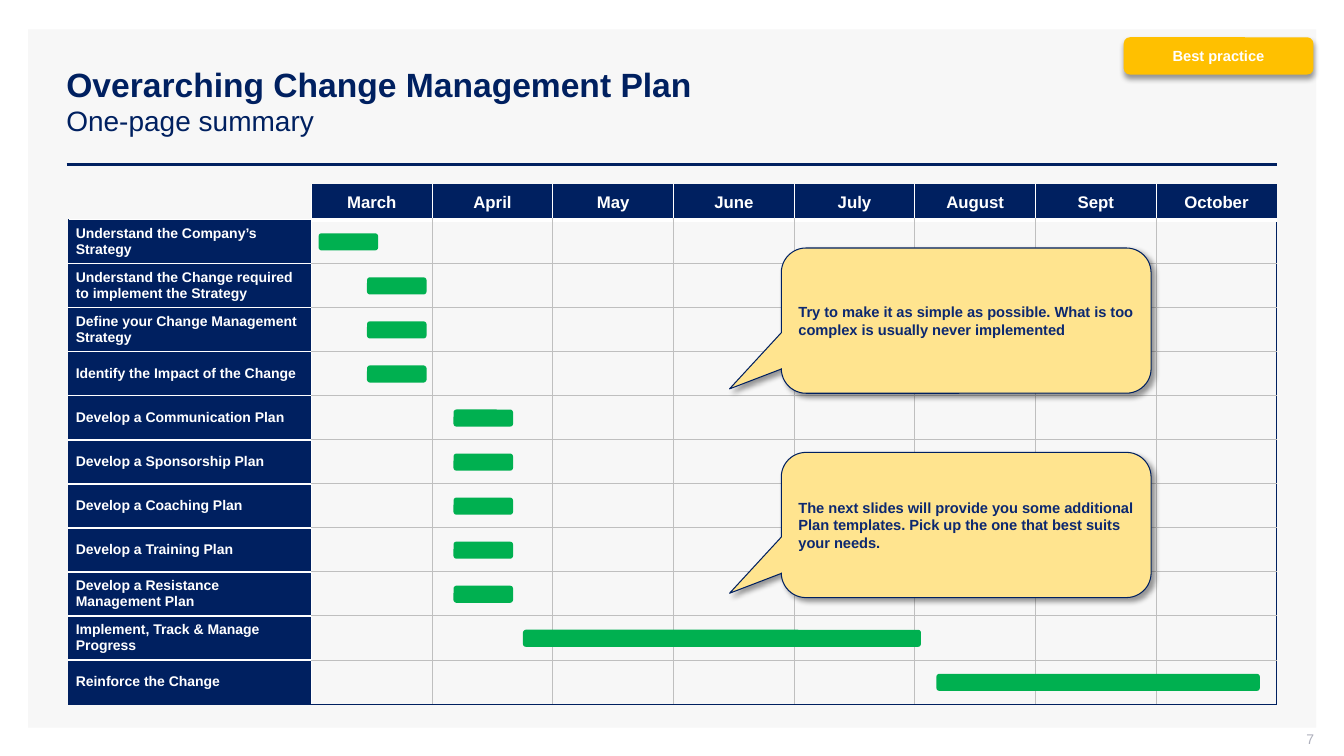
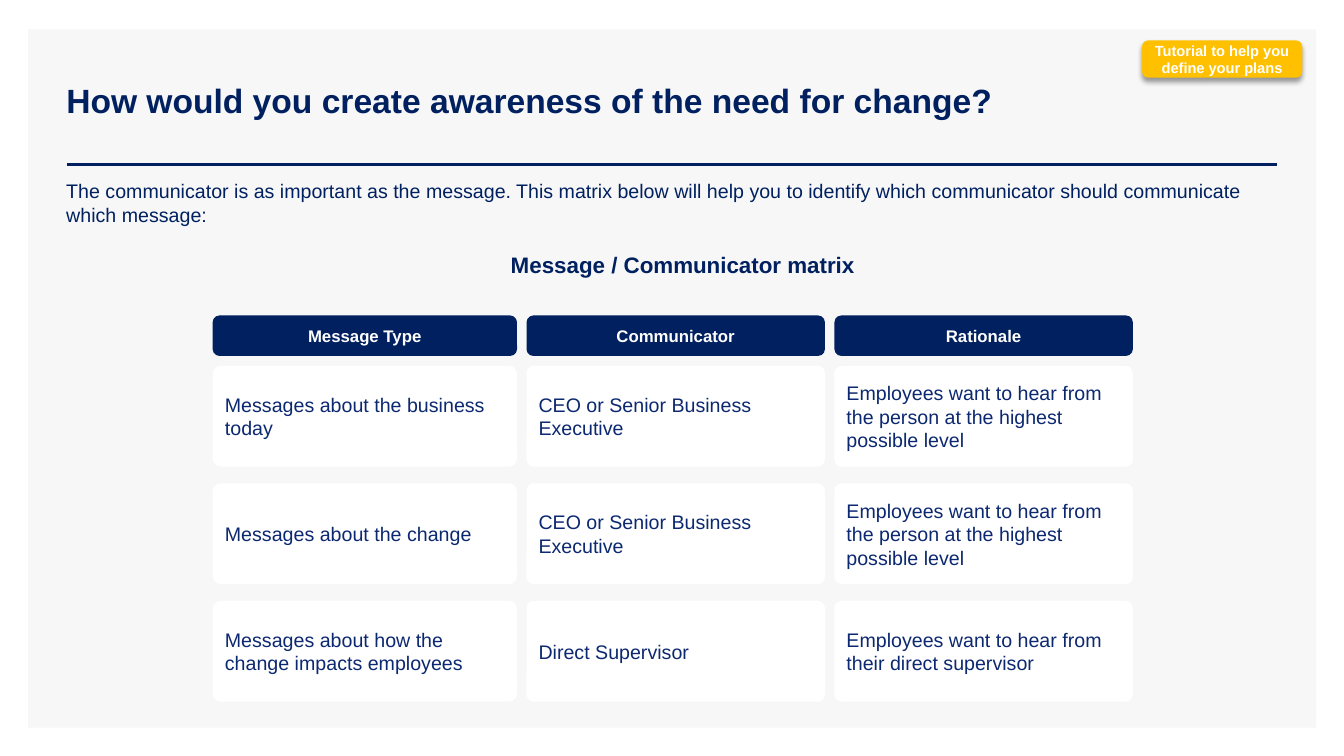
from dataclasses import dataclass

from lxml import etree
from pptx import Presentation
from pptx.dml.color import RGBColor
from pptx.enum.shapes import MSO_CONNECTOR, MSO_SHAPE
from pptx.enum.text import MSO_ANCHOR as Anchor, MSO_AUTO_SIZE as AutoSize, PP_ALIGN as Align
from pptx.oxml.ns import qn
from pptx.util import Cm, Pt


@dataclass(frozen=True)
class Theme:
    font: str = "Arial"
    navy: str = "002060"
    ink: str = "0C2870"
    white: str = "FFFFFF"
    panel: str = "F7F7F7"
    grid: str = "BFBFBF"
    page_number: str = "ADAFBB"
    bar: str = "00B050"
    callout: str = "FFE48F"
    badge: str = "FFC000"
    title: float = 24
    subtitle: float = 20
    heading: float = 16
    body: float = 14
    header: float = 12
    note: float = 10.5
    small: float = 10


THEME = Theme()
NO_STYLE_NO_GRID = "{2D5ABB26-0587-4C30-8999-92F81FD0307C}"
DEFAULT_INSETS = (0.25, 0.13, 0.25, 0.13)


def style_font(font, size, color, bold):
    font.name, font.size, font.bold = THEME.font, Pt(size), bold
    font.color.rgb = RGBColor.from_string(color)


def write(frame, text, *, size=THEME.body, color=THEME.navy, bold=False, align=Align.LEFT,
          anchor=Anchor.MIDDLE, insets=DEFAULT_INSETS):
    """Fill a text frame with one paragraph and return it; insets are left, top, right, bottom."""
    frame.word_wrap = True
    frame.auto_size = AutoSize.NONE
    frame.vertical_anchor = anchor
    (frame.margin_left, frame.margin_top,
     frame.margin_right, frame.margin_bottom) = map(Cm, insets)
    paragraph = frame.paragraphs[0]
    paragraph.alignment = align
    run = paragraph.add_run()
    run.text = text
    style_font(run.font, size, color, bold)
    return paragraph


def add_shadow(shape, angle):
    effects = shape.element.spPr.find(qn("a:effectLst"))
    shadow = etree.SubElement(effects, qn("a:outerShdw"), blurRad=str(Pt(4)), dist=str(Pt(3)),
                              dir=str(angle * 60000), algn="tl", rotWithShape="0")
    black = etree.SubElement(shadow, qn("a:srgbClr"), val="000000")
    etree.SubElement(black, qn("a:alpha"), val="40000")


def set_border(cell, side, color, width):
    line = etree.SubElement(cell._tc.get_or_add_tcPr(), qn(f"a:ln{side}"), w=str(Pt(width)))
    fill = etree.SubElement(line, qn("a:solidFill"))
    etree.SubElement(fill, qn("a:srgbClr"), val=color)


def plan_borders(row, column, last_row, last_column):
    """Borders of one plan cell: navy outside, white around headers, grey inside."""
    if row == column == 0:
        return {}
    outer, inner = (THEME.navy, 0.75), (THEME.grid, 0.75)
    split, header_edge = (THEME.white, 1), (THEME.white, 3)
    lattice = split if row == 0 or column == 0 else inner
    return {
        "L": outer if column == 0 else split if column == 1 else lattice,
        "R": outer if column == last_column else lattice,
        "T": outer if row == 0 else header_edge if row == 1 and column else lattice,
        "B": header_edge if row == 0 else outer if row == last_row else lattice,
    }


class Deck:
    def __init__(self):
        self.presentation = Presentation()
        self.presentation.slide_width, self.presentation.slide_height = Cm(33.87), Cm(19.05)
        self.layout = self.presentation.slide_layouts[5]
        self.slide = None

    def new_slide(self, title, subtitle=None):
        self.slide = self.presentation.slides.add_slide(self.layout)
        if len(self.presentation.slides) == 1:
            self.decorate_layout()
        heading = self.slide.shapes.title
        heading.left, heading.top, heading.width, heading.height = map(Cm, (1.42, 1.02, 30.76, 3.02))
        paragraph = write(heading.text_frame, title, size=THEME.title, bold=True)
        if subtitle:
            paragraph.add_line_break()
            run = paragraph.add_run()
            run.text = subtitle
            style_font(run.font, THEME.subtitle, THEME.navy, False)

    def decorate_layout(self):
        """Move the shared panel and title rule to the layout, behind everything else."""
        panel = self.shape(MSO_SHAPE.RECTANGLE, (0.71, 0.74, 32.46, 17.6), THEME.panel)
        rule = self.line((1.68, 4.14), (32.18, 4.14), THEME.navy, 2)
        for index, part in enumerate((panel, rule)):
            part.element.xpath(".//p:cNvPr")[0].set("id", str(100 + index))
            self.layout.shapes.element.insert(2 + index, part.element)

    def line(self, start, end, color, width):
        connector = self.slide.shapes.add_connector(
            MSO_CONNECTOR.STRAIGHT, *map(Cm, (*start, *end)))
        connector.line.color.rgb = RGBColor.from_string(color)
        connector.line.width = Pt(width)
        etree.SubElement(connector.element.spPr, qn("a:effectLst"))
        return connector

    def shape(self, preset, box, fill, text=None, adjustments=(), **text_format):
        shape = self.slide.shapes.add_shape(preset, *map(Cm, box))
        shape.shadow.inherit = False
        shape.fill.solid()
        shape.fill.fore_color.rgb = RGBColor.from_string(fill)
        shape.line.fill.background()
        for index, value in enumerate(adjustments):
            shape.adjustments[index] = value
        if text:
            write(shape.text_frame, text, **text_format)
        return shape

    def rounded(self, box, fill, text=None, **options):
        return self.shape(MSO_SHAPE.ROUNDED_RECTANGLE, box, fill, text, **options)

    def text(self, box, text, **text_format):
        write(self.slide.shapes.add_textbox(*map(Cm, box)).text_frame, text, **text_format)

    def badge(self, box, text):
        badge = self.rounded(box, THEME.badge, text, size=THEME.note, color=THEME.white,
                             bold=True, align=Align.CENTER)
        add_shadow(badge, 90)

    def callout(self, box, text):
        callout = self.shape(MSO_SHAPE.ROUNDED_RECTANGULAR_CALLOUT, box, THEME.callout, text,
                             adjustments=(-0.64, 0.47, 0.17), size=THEME.note,
                             color=THEME.ink, bold=True)
        callout.line.color.rgb = RGBColor.from_string(THEME.navy)
        callout.line.width = Pt(0.75)
        add_shadow(callout, 45)

    def plan_table(self, box, months, tasks, label_width, header_height):
        """Draw the empty plan grid and return the height of a task row in cm."""
        width, height = box[2:]
        row_height = (height - header_height) / len(tasks)
        table = self.slide.shapes.add_table(len(tasks) + 1, len(months) + 1, *map(Cm, box)).table
        properties = table._tbl.tblPr
        properties.find(qn("a:tableStyleId")).text = NO_STYLE_NO_GRID
        table.first_row = table.horz_banding = False
        for index, column in enumerate(table.columns):
            column.width = Cm((width - label_width) / len(months) if index else label_width)
        for index, row in enumerate(table.rows):
            row.height = Cm(row_height if index else header_height)
        for r in range(len(tasks) + 1):
            for c in range(len(months) + 1):
                cell = table.cell(r, c)
                cell.margin_left = cell.margin_right = Cm(0.18)
                cell.margin_top = cell.margin_bottom = 0
                cell.vertical_anchor = Anchor.MIDDLE
                for side, border in plan_borders(r, c, len(tasks), len(months)).items():
                    set_border(cell, side, *border)
                paragraph = cell.text_frame.paragraphs[0]
                is_label = (r == 0) != (c == 0)
                if is_label:
                    cell.fill.solid()
                    cell.fill.fore_color.rgb = RGBColor.from_string(THEME.navy)
                    paragraph.alignment = Align.LEFT if r else Align.CENTER
                    run = paragraph.add_run()
                    run.text = tasks[r - 1] if r else months[c - 1]
                    style_font(run.font, THEME.small if r else THEME.header, THEME.white, True)
                else:
                    cell.fill.background()
                    paragraph.font.size = Pt(THEME.small)
        return row_height


MONTHS = ["March", "April", "May", "June", "July", "August", "Sept", "October"]
# Task, start and length of its bar in cm
PLAN = [
    ("Understand the Company’s Strategy", 8.03, 1.5),
    ("Understand the Change required to implement the Strategy", 9.25, 1.5),
    ("Define your Change Management Strategy", 9.25, 1.5),
    ("Identify the Impact of the Change", 9.25, 1.5),
    ("Develop a Communication Plan", 11.43, 1.5),
    ("Develop a Sponsorship Plan", 11.43, 1.5),
    ("Develop a Coaching Plan", 11.43, 1.5),
    ("Develop a Training Plan", 11.43, 1.5),
    ("Develop a Resistance Management Plan", 11.43, 1.5),
    ("Implement, Track & Manage Progress", 13.18, 10.03),
    ("Reinforce the Change", 23.6, 8.15),
]
ADVICE = [
    (6.25, "Try to make it as simple as possible. What is too complex is usually never implemented"),
    (11.4, "The next slides will provide you some additional Plan templates. "
           "Pick up the one that best suits your needs."),
]
TOP_LEVEL = "Employees want to hear from the person at the highest possible level"
# Header, column width in cm, corner rounding of the cards, messages
MATRIX = [
    ("Message Type", 7.67, 0.08, ["Messages about the business today", "Messages about the change",
                                  "Messages about how the change impacts employees"]),
    ("Communicator", 7.52, 0.07, ["CEO or Senior Business Executive",
                                  "CEO or Senior Business Executive", "Direct Supervisor"]),
    ("Rationale", 7.52, 0.07, [TOP_LEVEL, TOP_LEVEL,
                               "Employees want to hear from their direct supervisor"]),
]


def build_plan(deck):
    deck.new_slide("Overarching Change Management Plan", "One-page summary")
    deck.text((25.5, 18.41, 7.62, 0.53), "7", size=THEME.small, color=THEME.page_number,
              align=Align.RIGHT, insets=(0.25, 0, 0, 0.13))
    top, header_height, bar_height = 4.65, 0.89, 0.43
    row_height = deck.plan_table((1.73, top, 30.45, 13.1), MONTHS, [task for task, _, _ in PLAN],
                                 label_width=6.12, header_height=header_height)
    first_bar = top + header_height + (row_height - bar_height) / 2
    for index, (_, start, length) in enumerate(PLAN):
        deck.rounded((start, first_bar + index * row_height, length, bar_height), THEME.bar)
    for advice_top, advice in ADVICE:
        deck.callout((19.69, advice_top, 9.32, 3.66), advice)
    deck.badge((28.32, 0.94, 4.78, 0.94), "Best practice")


def build_matrix(deck):
    deck.new_slide("How would you create awareness of the need for change?")
    deck.text((1.42, 4.39, 30.45, 1.45),
              "The communicator is as important as the message. This matrix below will help you to "
              "identify which communicator should communicate which message:", anchor=Anchor.TOP)
    deck.text((11.91, 6.2, 10.59, 0.94), "Message / Communicator matrix", size=THEME.heading,
              bold=True, align=Align.CENTER, anchor=Anchor.TOP)
    left, gap, row_pitch = 5.36, 0.24, 2.96
    for header, width, rounding, messages in MATRIX:
        deck.rounded((left, 7.95, width, 1.02), THEME.navy, header, size=THEME.header,
                     color=THEME.white, bold=True, align=Align.CENTER, insets=(0.05,) * 4)
        for index, message in enumerate(messages):
            deck.rounded((left, 9.22 + index * row_pitch, width, 2.54), THEME.white, message,
                         adjustments=(rounding,), color=THEME.ink)
        left += width + gap
    deck.badge((28.78, 1.02, 4.04, 0.94), "Tutorial to help you define your plans")


def main():
    deck = Deck()
    build_plan(deck)
    build_matrix(deck)
    deck.presentation.save("out.pptx")


if __name__ == "__main__":
    main()
